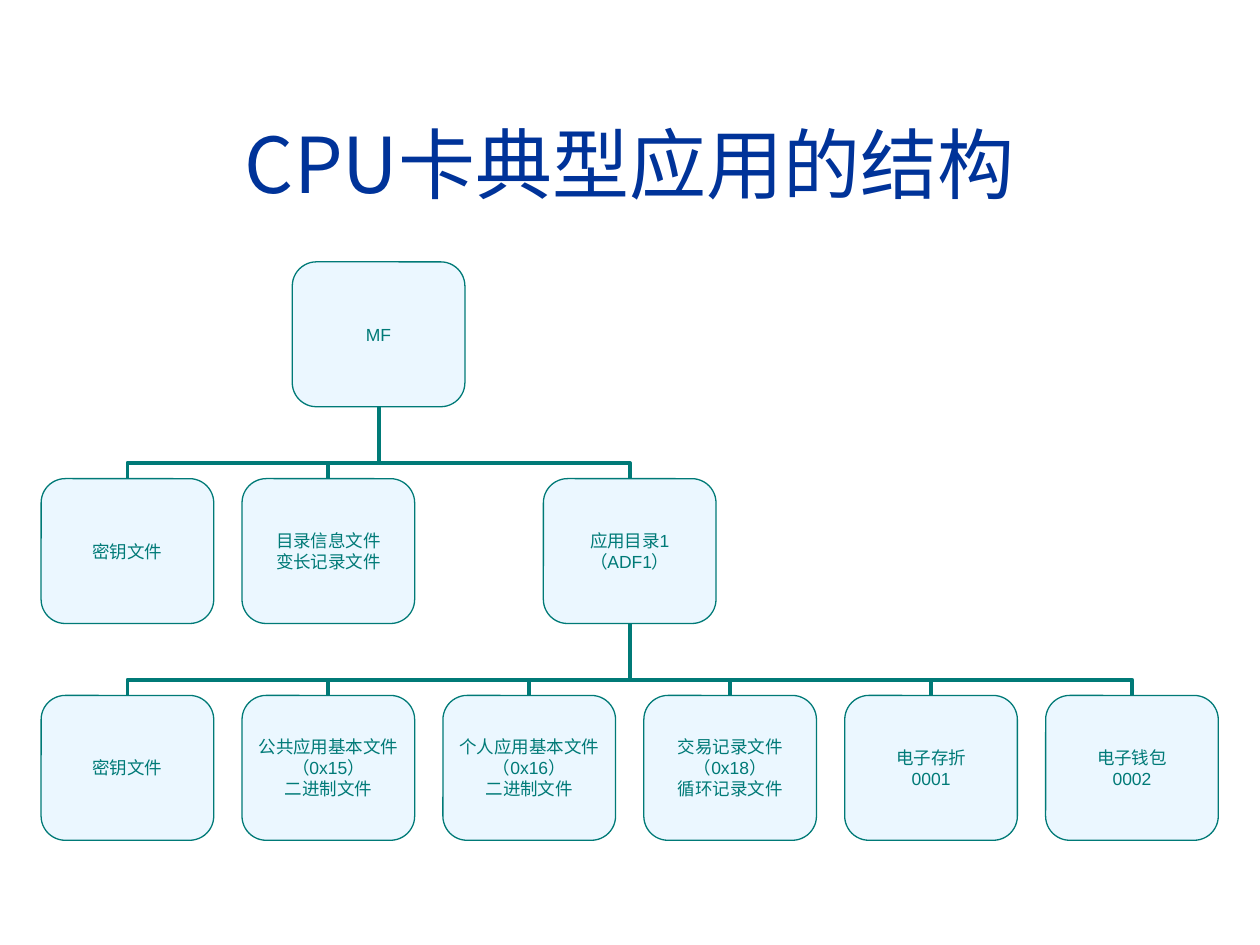
from dataclasses import dataclass
from typing import Optional

from lxml import etree
from pptx import Presentation
from pptx import util as u
from pptx.dml.color import RGBColor
from pptx.enum import shapes, text
from pptx.oxml.ns import qn

COLORS = {"title": "003399", "teal": "007A77", "pale": "EBF7FF"}
CJK_FONT = "Noto Sans CJK SC"
LEFT, TOP = 0.83, 5.28
COL_STEP, ROW_STEP = 4.05, 4.37
BOX_W, BOX_H = 3.48, 2.92
ELBOW = 21800


@dataclass
class Node:
    """A box of the tree, placed by column and row."""
    lines: list[str]
    col: float
    row: int
    parent: Optional["Node"] = None

    @property
    def left(self) -> float:
        return LEFT + self.col * COL_STEP

    @property
    def top(self) -> float:
        return TOP + self.row * ROW_STEP

    @property
    def center(self) -> float:
        return self.left + BOX_W / 2


def rgb(name: str) -> RGBColor:
    """Return a named colour."""
    return RGBColor.from_string(COLORS[name])


def write_lines(tf, lines: list[str], size: float, font: str, color: str) -> None:
    """Write centred paragraphs into a text frame."""
    tf.vertical_anchor = text.MSO_ANCHOR.MIDDLE
    for i, line in enumerate(lines):
        p = tf.paragraphs[0] if i == 0 else tf.add_paragraph()
        p.alignment = text.PP_ALIGN.CENTER
        r = p.add_run()
        r.text = line
        r.font.size = u.Pt(size)
        r.font.name = font
        r.font.color.rgb = rgb(color)
        ea = etree.SubElement(r.font._element, qn("a:ea"))
        ea.set("typeface", CJK_FONT)


def add_title(s, title: str) -> None:
    """Add the slide title."""
    sp = s.shapes.add_textbox(u.Cm(0.83), u.Cm(1.7), u.Cm(23.74), u.Cm(3.18))
    sp.text_frame.word_wrap = True
    write_lines(sp.text_frame, [title], 44, CJK_FONT, "title")


def add_link(s, child: Node) -> None:
    """Draw an elbow from the top of a node to the bottom of its parent."""
    parent = child.parent
    height = child.top - parent.top - BOX_H
    span = abs(parent.center - child.center)
    mid_x = (parent.center + child.center) / 2
    mid_y = child.top - height / 2
    x, y = mid_x - height / 2, mid_y - span / 2
    sp = s.shapes.add_connector(shapes.MSO_CONNECTOR.ELBOW, u.Cm(x), u.Cm(y),
                                u.Cm(x + height), u.Cm(y + span))
    sp.line.color.rgb = rgb("teal")
    sp.line.width = u.Pt(2.25)
    pr = sp._element.spPr
    xfrm = pr.find(qn("a:xfrm"))
    on_right = child.center > parent.center
    xfrm.set("rot", str((270 if on_right else 90) * 60000))
    xfrm.set("flipV", "1")
    if not on_right:
        xfrm.set("flipH", "1")
    gd = etree.SubElement(pr.find(qn("a:prstGeom")).find(qn("a:avLst")), qn("a:gd"))
    gd.set("name", "adj1")
    gd.set("fmla", f"val {ELBOW}")
    etree.SubElement(pr, qn("a:effectLst"))


def add_node(s, node: Node) -> None:
    """Draw a rounded box with its label."""
    sp = s.shapes.add_shape(shapes.MSO_SHAPE.ROUNDED_RECTANGLE, u.Cm(node.left),
                            u.Cm(node.top), u.Cm(BOX_W), u.Cm(BOX_H))
    sp.shadow.inherit = False
    sp.fill.solid()
    sp.fill.fore_color.rgb = rgb("pale")
    sp.line.color.rgb = rgb("teal")
    sp.line.width = u.Pt(0.75)
    tf = sp.text_frame
    tf.word_wrap = False
    tf.margin_left = tf.margin_right = tf.margin_top = tf.margin_bottom = 0
    write_lines(tf, node.lines, 10, "Arial", "teal")


mf = Node(["MF"], 1.25, 0)
adf = Node(["应用目录1", "（ADF1）"], 2.5, 1, mf)
files = [
    ["密钥文件"],
    ["公共应用基本文件", "（0x15）", "二进制文件"],
    ["个人应用基本文件", "（0x16）", "二进制文件"],
    ["交易记录文件", "（0x18）", "循环记录文件"],
    ["电子存折", "0001"],
    ["电子钱包", "0002"],
]
nodes = [
    mf,
    Node(["密钥文件"], 0, 1, mf),
    Node(["目录信息文件", "变长记录文件"], 1, 1, mf),
    adf,
    *(Node(lines, col, 2, adf) for col, lines in enumerate(files)),
]

prs = Presentation()
prs.slide_width, prs.slide_height = u.Cm(25.4), u.Cm(19.05)
s = prs.slides.add_slide(prs.slide_layouts[6])
add_title(s, "CPU卡典型应用的结构")
for node in reversed(nodes):
    if node.parent:
        add_link(s, node)
for node in nodes:
    add_node(s, node)
prs.save("out.pptx")
